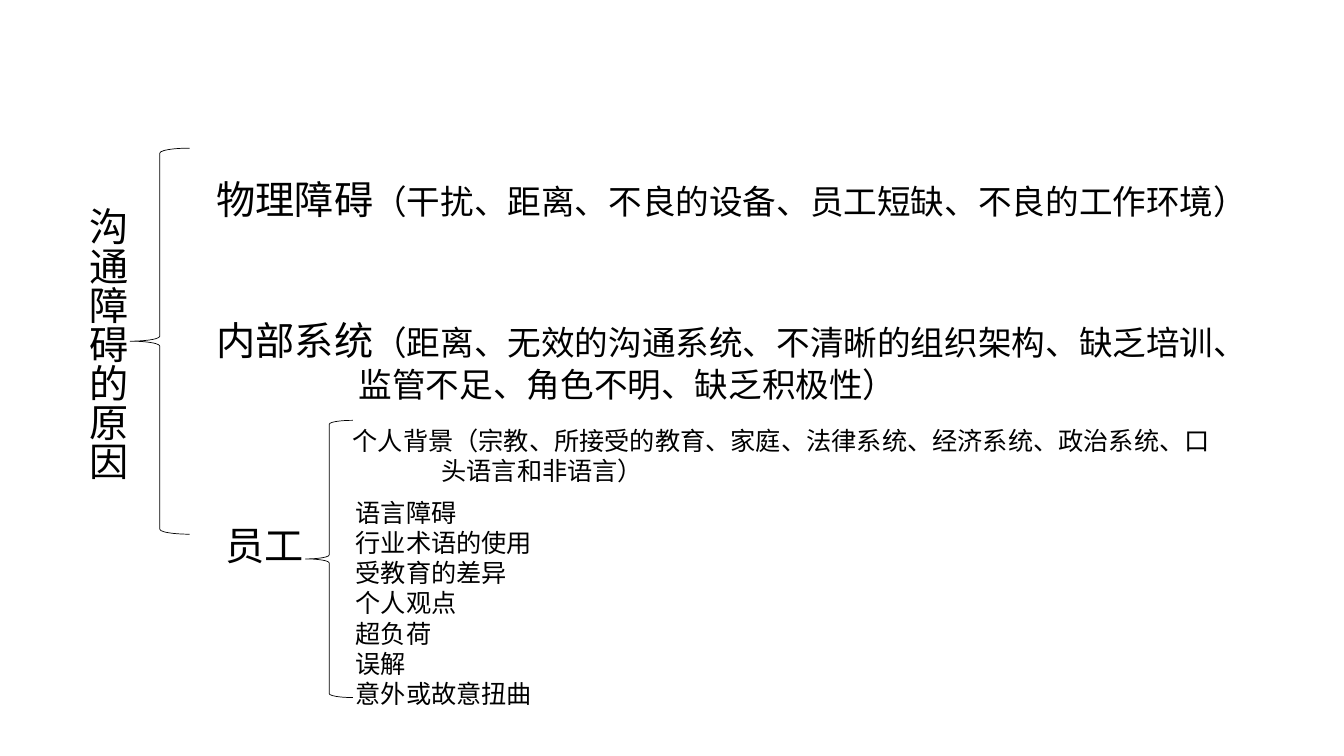
from pptx import Presentation
from pptx.dml.color import RGBColor
from pptx.enum.shapes import MSO_SHAPE
from pptx.enum.text import PP_ALIGN
from pptx.oxml.ns import qn
from pptx.util import Emu, Pt

LEFT_BRACE = MSO_SHAPE.LEFT_BRACE
LEFT = PP_ALIGN.LEFT
PX = 9144
FONT = "Noto Sans CJK SC"
COLORS = {"ink": "000000"}
HEADING, DETAIL, ITEM = 28, 24, 18

PHYSICAL = [("物理障碍", HEADING),
            ("（干扰、距离、不良的设备、员工短缺、不良的工作环境）", DETAIL)]
INTERNAL = [("内部系统", HEADING),
            ("（距离、无效的沟通系统、不清晰的组织架构、缺乏培训、", DETAIL)]
INTERNAL_REST = [("监管不足、角色不明、缺乏积极性）", DETAIL)]
BACKGROUND = [("个人背景（宗教、所接受的教育、家庭、法律系统、经济系统、政治系统、口", ITEM)]
BACKGROUND_REST = [("头语言和非语言）", ITEM)]
EMPLOYEE_ITEMS = ["语言障碍", "行业术语的使用", "受教育的差异", "个人观点",
                  "超负荷", "误解", "意外或故意扭曲"]


def px(length):
    """Turn px into EMU."""
    return Emu(length * PX)


def add_text(slide, box, lines, indents=None, gaps=None, spacing=None, vertical=False):
    """Place lines of (text, size) runs, with indents in px and gaps in points by line number."""
    frame = slide.shapes.add_textbox(*map(px, box)).text_frame
    frame.word_wrap = True
    if vertical:
        frame._txBody.bodyPr.set("vert", "eaVert")
    for number, runs in enumerate(lines):
        paragraph = frame.paragraphs[0] if number == 0 else frame.add_paragraph()
        paragraph.alignment = LEFT
        if spacing:
            paragraph.line_spacing = spacing
        if indents and number in indents:
            paragraph._p.get_or_add_pPr().set("marL", str(px(indents[number])))
        if gaps and number in gaps:
            paragraph.space_before = Pt(gaps[number])
        for text, size in runs:
            run = paragraph.add_run()
            run.text = text
            run.font.size = Pt(size)
            run.font.name = FONT
            run.font.color.rgb = RGBColor.from_string(COLORS["ink"])
            east_asian = run._r.get_or_add_rPr().makeelement(qn("a:ea"), {"typeface": FONT})
            run.font._element.find(qn("a:latin")).addnext(east_asian)


def add_brace(slide, box):
    """Draw a thin left brace."""
    brace = slide.shapes.add_shape(LEFT_BRACE, *map(px, box))
    brace.shadow.inherit = False
    brace.fill.background()
    brace.line.color.rgb = RGBColor.from_string(COLORS["ink"])
    brace.line.width = Pt(0.5)
    brace.adjustments[0] = 0.083


def add_topic(slide, left, top, width, height):
    """Place the vertical topic and the brace over its causes."""
    add_text(slide, (left, top + 49, 91, height - 67), [[("沟通障碍的原因", HEADING)]],
             spacing=1.5, vertical=True)
    add_brace(slide, (left + width - 59, top, 59, height))


def add_general_causes(slide, left, top, width, height):
    """Place the physical and internal causes."""
    add_text(slide, (left, top, width, height), [PHYSICAL, INTERNAL, INTERNAL_REST],
             indents={2: 141}, gaps={1: 2 * HEADING * 1.2})


def add_employee_causes(slide, left, top, width, height):
    """Place the employee label, its brace and its causes."""
    add_text(slide, (left, top + 95, 113, 57), [[("员工", HEADING)]])
    add_brace(slide, (left + 89, top, 47, height))
    add_text(slide, (left + 126, top, width - 126, 71), [BACKGROUND, BACKGROUND_REST],
             indents={1: 88})
    add_text(slide, (left + 129, top + 71, 290, 222),
             [[(item, ITEM)] for item in EMPLOYEE_ITEMS])


def main():
    """Build the slide and save it."""
    presentation = Presentation()
    presentation.slide_width, presentation.slide_height = px(1333), px(750)
    slide = presentation.slides.add_slide(presentation.slide_layouts[6])
    add_topic(slide, 67, 147, 121, 383)
    add_general_causes(slide, 205, 169, 1045, 333)
    add_employee_causes(slide, 214, 417, 1026, 275)
    presentation.save("out.pptx")


if __name__ == "__main__":
    main()
